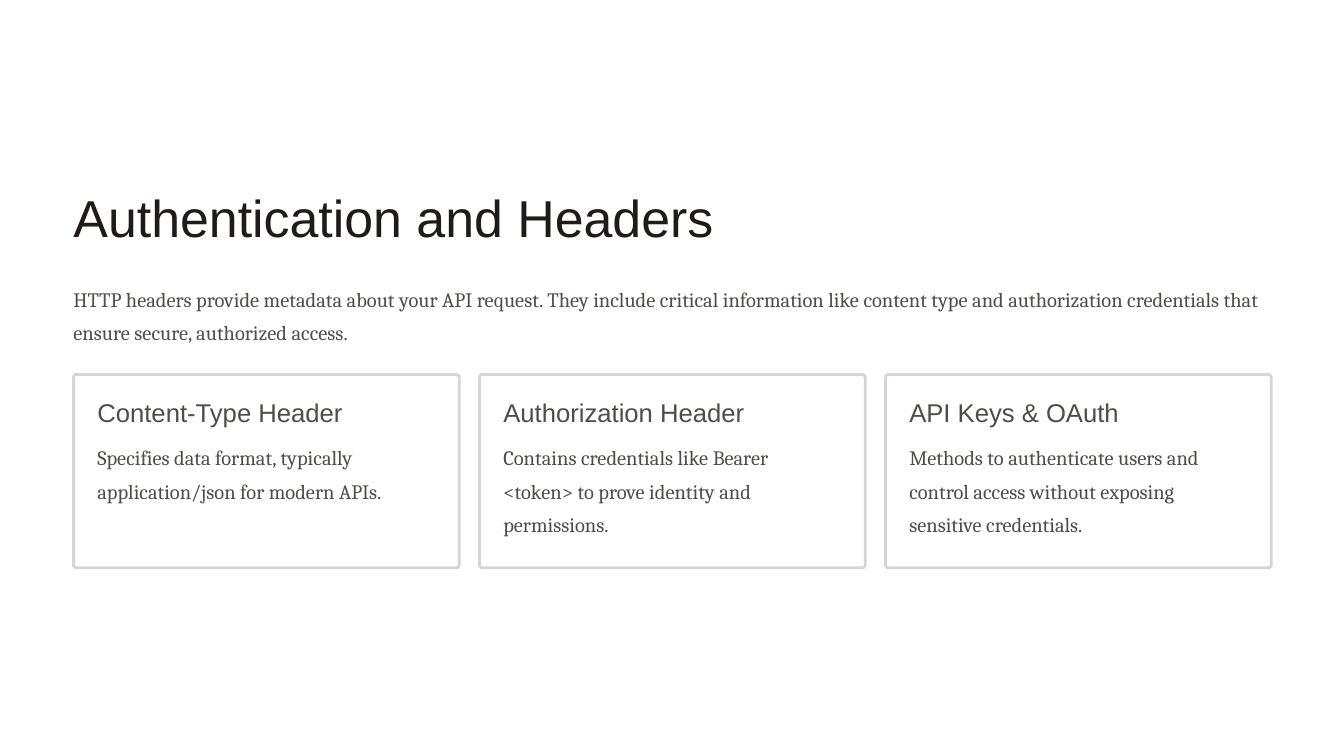
from pptx import Presentation
from pptx.dml.color import RGBColor
from pptx.enum.shapes import MSO_SHAPE
from pptx.util import Emu, Pt

TITLE = "Authentication and Headers"
INTRO = (
    "HTTP headers provide metadata about your API request. They include critical "
    "information like content type and authorization credentials that ensure secure, "
    "authorized access."
)
CARDS = [
    ("Content-Type Header",
     "Specifies data format, typically application/json for modern APIs."),
    ("Authorization Header",
     "Contains credentials like Bearer <token> to prove identity and permissions."),
    ("API Keys & OAuth",
     "Methods to authenticate users and control access without exposing sensitive credentials."),
]

WHITE = RGBColor(0xFF, 0xFF, 0xFF)
INK = RGBColor(0x20, 0x1B, 0x18)
GREY = RGBColor(0x50, 0x4C, 0x49)
BORDER = RGBColor(0xD8, 0xD4, 0xD4)

# font, size in points, line spacing in points, colour
TITLE_STYLE = ("Arial", 55.6, 69.4, INK)
HEADING_STYLE = ("Arial", 27.5, 34.4, GREY)
BODY_STYLE = ("Cambria", 21.9, 35.6, GREY)

SLIDE_W, SLIDE_H = 1920, 1080
MARGIN = 105
CONTENT_W = 1711
CARD_TOP, CARD_H, CARD_GAP = 535, 276, 29
CARD_W = (CONTENT_W - CARD_GAP * (len(CARDS) - 1)) // len(CARDS)
CARD_PAD = 34
CARD_RADIUS, CARD_BORDER = 4, 4


def px(length):
    return Emu(length * 9525)


def add_text(slide, text, left, top, width, height, style):
    font_name, size, spacing, colour = style
    box = slide.shapes.add_textbox(px(left), px(top), px(width), px(height))
    frame = box.text_frame
    frame.word_wrap = True
    frame.margin_left = frame.margin_top = frame.margin_right = frame.margin_bottom = 0
    paragraph = frame.paragraphs[0]
    paragraph.text = text
    paragraph.line_spacing = Pt(spacing)
    paragraph.font.name = font_name
    paragraph.font.size = Pt(size)
    paragraph.font.color.rgb = colour


def add_card(slide, heading, body, left):
    card = slide.shapes.add_shape(
        MSO_SHAPE.ROUNDED_RECTANGLE, px(left), px(CARD_TOP), px(CARD_W), px(CARD_H))
    card.adjustments[0] = CARD_RADIUS / CARD_H
    card.shadow.inherit = False
    card.fill.solid()
    card.fill.fore_color.rgb = WHITE
    card.line.color.rgb = BORDER
    card.line.width = px(CARD_BORDER)

    text_left, text_w = left + CARD_PAD, CARD_W - 2 * CARD_PAD
    add_text(slide, heading, text_left, CARD_TOP + 30, text_w, 50, HEADING_STYLE)
    add_text(slide, body, text_left, CARD_TOP + 89, text_w, 153, BODY_STYLE)


def main():
    deck = Presentation()
    deck.slide_width, deck.slide_height = px(SLIDE_W), px(SLIDE_H)
    slide = deck.slides.add_slide(deck.slide_layouts[6])
    slide.background.fill.solid()
    slide.background.fill.fore_color.rgb = WHITE

    add_text(slide, TITLE, MARGIN, 262, 1028, 99, TITLE_STYLE)
    add_text(slide, INTRO, MARGIN, 397, CONTENT_W, 105, BODY_STYLE)
    for index, (heading, body) in enumerate(CARDS):
        add_card(slide, heading, body, MARGIN + index * (CARD_W + CARD_GAP))

    deck.save("out.pptx")


if __name__ == "__main__":
    main()
